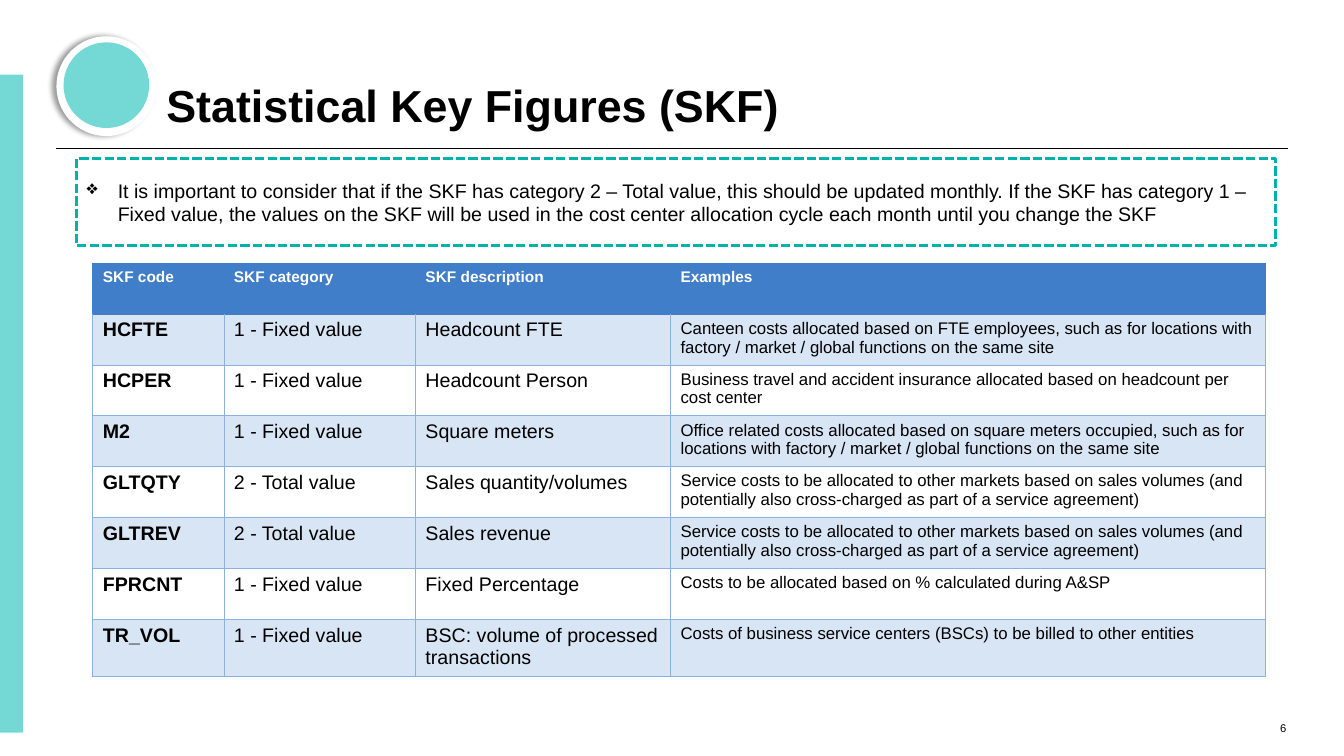
from lxml import etree
from pptx import Presentation
from pptx.dml.color import RGBColor
from pptx.enum.dml import MSO_LINE
from pptx.enum.shapes import MSO_CONNECTOR, MSO_SHAPE
from pptx.enum.text import MSO_ANCHOR, PP_ALIGN
from pptx.oxml import parse_xml
from pptx.oxml.ns import nsdecls, qn
from pptx.util import Inches, Pt

COLORS = {
    "black": "000000", "white": "FFFFFF", "aqua": "74D9D5", "teal": "00B2A9",
    "header": "407EC9", "band": "D8E5F4", "grid": "8CB1DE",
}
RGB = {name: RGBColor.from_string(value) for name, value in COLORS.items()}


def add_text(p, text, size, color="black", bold=False):
    r = p.add_run()
    r.text = text
    r.font.name = "Arial"
    r.font.size = Pt(size)
    r.font.bold = bold
    r.font.color.rgb = RGB[color]


def zero_margins(tf, anchor):
    tf.margin_left = tf.margin_right = tf.margin_top = tf.margin_bottom = 0
    tf.vertical_anchor = anchor
    tf.word_wrap = True


prs = Presentation()
prs.slide_width, prs.slide_height = Inches(13.33), Inches(7.5)
s = prs.slides.add_slide(prs.slide_layouts[5])

# Frame: rule, side bar and badge
rule = s.shapes.add_connector(
    MSO_CONNECTOR.STRAIGHT, Inches(0.56), Inches(1.47), Inches(12.77), Inches(1.47))
rule.line.color.rgb = RGB["black"]
rule.line.width = Pt(0.75)
etree.SubElement(rule._element.spPr, qn("a:effectLst"))

decorations = [
    (MSO_SHAPE.RECTANGLE, 0, 0.74, 0.23, 6.53, "aqua"),
    (MSO_SHAPE.OVAL, 0.56, 0.36, 0.99, 0.99, "white"),
    (MSO_SHAPE.OVAL, 0.63, 0.42, 0.85, 0.85, "aqua"),
]
for kind, left, top, width, height, color in decorations:
    sp = s.shapes.add_shape(kind, Inches(left), Inches(top), Inches(width), Inches(height))
    sp.shadow.inherit = False
    sp.fill.solid()
    sp.fill.fore_color.rgb = RGB[color]
    sp.line.fill.background()
    if color == "white":
        effects = sp._element.spPr.find(qn("a:effectLst"))
        effects.append(parse_xml(
            f'<a:outerShdw {nsdecls("a")} blurRad="{Pt(4)}" dist="{Pt(3)}" dir="10800000">'
            f'<a:srgbClr val="{COLORS["black"]}"><a:alpha val="40000"/></a:srgbClr>'
            '</a:outerShdw>'))

# Title and page number
title = s.shapes.title
title.left, title.top = Inches(1.65), Inches(0.23)
title.width, title.height = Inches(9.74), Inches(1.08)
zero_margins(title.text_frame, MSO_ANCHOR.BOTTOM)
p = title.text_frame.paragraphs[0]
p.alignment = PP_ALIGN.LEFT
p.line_spacing = 0.9
add_text(p, "Statistical Key Figures (SKF)", 32, bold=True)

page = s.shapes.add_textbox(Inches(12.33), Inches(6.89), Inches(0.43), Inches(0.4))
zero_margins(page.text_frame, MSO_ANCHOR.BOTTOM)
p = page.text_frame.paragraphs[0]
p.alignment = PP_ALIGN.RIGHT
add_text(p, "6", 8)

# Dashed note
note = s.shapes.add_shape(
    MSO_SHAPE.RECTANGLE, Inches(0.76), Inches(1.57), Inches(11.89), Inches(0.87))
note.shadow.inherit = False
note.fill.background()
note.line.color.rgb = RGB["teal"]
note.line.width = Pt(2.25)
note.line.dash_style = MSO_LINE.SQUARE_DOT
tf = note.text_frame
tf.word_wrap = True
tf.vertical_anchor = MSO_ANCHOR.MIDDLE
p = tf.paragraphs[0]
p.alignment = PP_ALIGN.LEFT
pPr = p._p.get_or_add_pPr()
pPr.set("marL", str(Inches(0.31)))
pPr.set("indent", str(-Inches(0.31)))
bullet_color = etree.SubElement(pPr, qn("a:buClr"))
etree.SubElement(bullet_color, qn("a:srgbClr"), val=COLORS["black"])
etree.SubElement(pPr, qn("a:buChar"), char="❖")
add_text(p, "It is important to consider that if the SKF has category 2 – Total value, "
            "this should be updated monthly. If the SKF has category 1 – Fixed value, "
            "the values on the SKF will be used in the cost center allocation cycle "
            "each month until you change the SKF", 14)

# Table of key figures
FIXED, TOTAL = "1 - Fixed value", "2 - Total value"
SALES_COSTS = ("Service costs to be allocated to other markets based on sales volumes "
               "(and potentially also cross-charged as part of a service agreement)")
rows = [
    ("SKF code", "SKF category", "SKF description", "Examples"),
    ("HCFTE", FIXED, "Headcount FTE",
     "Canteen costs allocated based on FTE employees, such as for locations with "
     "factory / market / global functions on the same site"),
    ("HCPER", FIXED, "Headcount Person",
     "Business travel and accident insurance allocated based on headcount per cost center"),
    ("M2", FIXED, "Square meters",
     "Office related costs allocated based on square meters occupied, such as for "
     "locations with factory / market / global functions on the same site"),
    ("GLTQTY", TOTAL, "Sales quantity/volumes", SALES_COSTS),
    ("GLTREV", TOTAL, "Sales revenue", SALES_COSTS),
    ("FPRCNT", FIXED, "Fixed Percentage",
     "Costs to be allocated based on % calculated during A&SP"),
    ("TR_VOL", FIXED, "BSC: volume of processed transactions",
     "Costs of business service centers (BSCs) to be billed to other entities"),
]
ROW_HEIGHT = 0.505
table = s.shapes.add_table(
    len(rows), 4, Inches(0.92), Inches(2.61), Inches(11.63),
    Inches(ROW_HEIGHT * len(rows))).table
for column, width in zip(table.columns, (1.3, 1.9, 2.53, 5.9)):
    column.width = Inches(width)

for i, texts in enumerate(rows):
    table.rows[i].height = Inches(ROW_HEIGHT)
    for j, text in enumerate(texts):
        cell = table.cell(i, j)
        tcPr = cell._tc.get_or_add_tcPr()
        for side in "LRTB":
            in_header = i == 0 or (i == 1 and side == "T")
            ln = etree.SubElement(tcPr, qn(f"a:ln{side}"), w=str(Pt(0.5)))
            fill = etree.SubElement(ln, qn("a:solidFill"))
            etree.SubElement(fill, qn("a:srgbClr"),
                             val=COLORS["header" if in_header else "grid"])
        if i == 0 or i % 2:
            cell.fill.solid()
            cell.fill.fore_color.rgb = RGB["band" if i else "header"]
        else:
            cell.fill.background()
        p = cell.text_frame.paragraphs[0]
        if i == 0:
            add_text(p, text, 11, "white", bold=True)
        else:
            add_text(p, text, 12 if j == 3 else 14, bold=j == 0)

prs.save("out.pptx")
